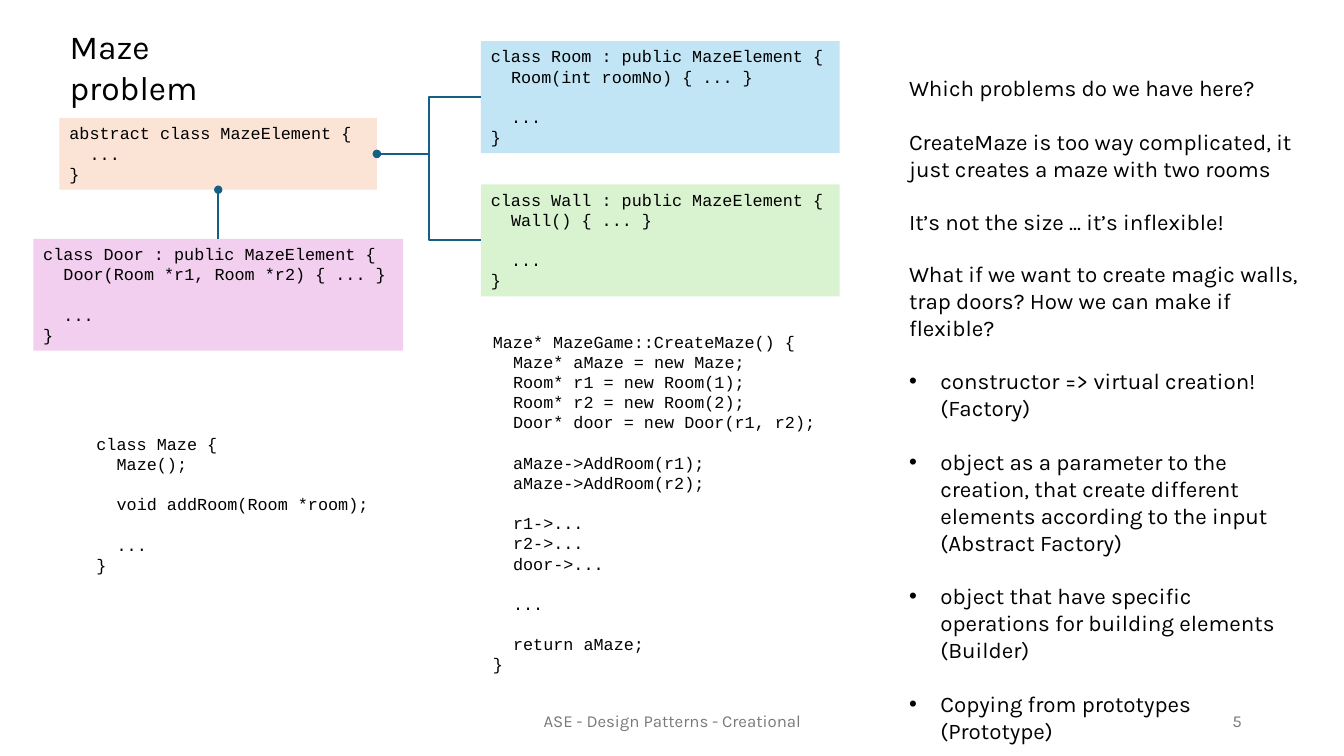
from dataclasses import dataclass

from lxml import etree
from pptx import Presentation
from pptx import util as u
from pptx.dml.color import RGBColor
from pptx.enum import shapes, text
from pptx.oxml import ns


@dataclass(frozen=True)
class Theme:
    body_font: str = "Karla"
    code_font: str = "Courier New"
    ink: str = "000000"
    muted: str = "797979"
    line: str = "156082"
    peach: str = "FBE3D6"
    blue: str = "C1E5F5"
    green: str = "D9F2D0"
    pink: str = "F2CFEE"
    title_size: float = 24
    body_size: float = 16
    small_size: float = 12
    code_gap: float = 14.4
    body_gap: float = 19.2
    code_indent: float = 0.51
    bullet_indent: float = 0.79


def write_text(paragraph, content, *, font, size, color, align=text.PP_ALIGN.LEFT,
               before=0, margin=0, bullet=False):
    paragraph.alignment = align
    paragraph.space_before = u.Pt(before)
    run = paragraph.add_run()
    run.text = content
    run.font.name = font
    run.font.size = u.Pt(size)
    run.font.color.rgb = RGBColor.from_string(color)
    properties = paragraph._p.get_or_add_pPr()
    if margin:
        properties.set("marL", str(u.Cm(margin)))
    if bullet:
        properties.set("indent", str(-u.Cm(margin)))
        etree.SubElement(properties, ns.qn("a:buFont")).set("typeface", "Arial")
        etree.SubElement(properties, ns.qn("a:buChar")).set("char", "•")


class SlideBuilder:
    def __init__(self, slide, theme):
        self.slide = slide
        self.theme = theme

    def prepare(self, shape, anchor=text.MSO_ANCHOR.TOP):
        frame = shape.text_frame
        frame.word_wrap = True
        frame.auto_size = text.MSO_AUTO_SIZE.NONE
        frame.vertical_anchor = anchor
        return frame

    def title(self, content, left, top, width, height):
        shape = self.slide.shapes.title
        shape.left, shape.top = u.Cm(left), u.Cm(top)
        shape.width, shape.height = u.Cm(width), u.Cm(height)
        write_text(self.prepare(shape).paragraphs[0], content, font=self.theme.body_font,
                   size=self.theme.title_size, color=self.theme.ink)

    def text_box(self, left, top, width, height, anchor=text.MSO_ANCHOR.TOP):
        shape = self.slide.shapes.add_textbox(*map(u.Cm, (left, top, width, height)))
        return self.prepare(shape, anchor)

    def footer(self, content, left, width, align):
        frame = self.text_box(left, 17.65, width, 1.02, text.MSO_ANCHOR.MIDDLE)
        write_text(frame.paragraphs[0], content, font=self.theme.body_font,
                   size=self.theme.small_size, color=self.theme.muted, align=align)

    def note(self, content, top, height, bullets=()):
        theme = self.theme
        frame = self.text_box(22.66, top, 10.39, height)
        style = dict(font=theme.body_font, size=theme.body_size, color=theme.ink)
        write_text(frame.paragraphs[0], content, **style)
        for bullet in bullets:
            write_text(frame.add_paragraph(), bullet, before=theme.body_gap,
                       margin=theme.bullet_indent, bullet=True, **style)

    def code(self, source, left, top, width, height, fill=None):
        theme = self.theme
        shape = self.slide.shapes.add_shape(
            shapes.MSO_SHAPE.RECTANGLE, *map(u.Cm, (left, top, width, height)))
        shape.shadow.inherit = False
        shape.line.fill.background()
        if fill:
            shape.fill.solid()
            shape.fill.fore_color.rgb = RGBColor.from_string(fill)
        else:
            shape.fill.background()
        frame = self.prepare(shape)
        paragraph, gap = frame.paragraphs[0], 0
        for line in source.strip().splitlines():
            if not line:
                gap = theme.code_gap
                continue
            paragraph = paragraph or frame.add_paragraph()
            write_text(paragraph, line.strip(), font=theme.code_font,
                       size=theme.small_size, color=theme.ink, before=gap,
                       margin=theme.code_indent if line.startswith(" ") else 0)
            paragraph, gap = None, 0
        return shape

    def inherit(self, child, child_side, parent, parent_side, kind):
        connector = self.slide.shapes.add_connector(kind, 0, 0, 0, 0)
        connector.begin_connect(child, child_side)
        connector.end_connect(parent, parent_side)
        connector.line.color.rgb = RGBColor.from_string(self.theme.line)
        connector.line.width = u.Pt(1.5)
        etree.SubElement(connector.line._get_or_add_ln(), ns.qn("a:tailEnd")).set("type", "oval")
        etree.SubElement(connector._element.spPr, ns.qn("a:effectLst"))


ELEMENT = """
abstract class MazeElement {
  ...
}
"""
ROOM = """
class Room : public MazeElement {
  Room(int roomNo) { ... }

  ...
}
"""
WALL = """
class Wall : public MazeElement {
  Wall() { ... }

  ...
}
"""
DOOR = """
class Door : public MazeElement {
  Door(Room *r1, Room *r2) { ... }

  ...
}
"""
MAZE = """
class Maze {
  Maze();

  void addRoom(Room *room);

  ...
}
"""
CREATE_MAZE = """
Maze* MazeGame::CreateMaze() {
  Maze* aMaze = new Maze;
  Room* r1 = new Room(1);
  Room* r2 = new Room(2);
  Door* door = new Door(r1, r2);

  aMaze->AddRoom(r1);
  aMaze->AddRoom(r2);

  r1->...
  r2->...
  door->...

  ...

  return aMaze;
}
"""
SOLUTIONS = (
    "constructor => virtual creation! (Factory)",
    "object as a parameter to the creation, that create different elements "
    "according to the input (Abstract Factory)",
    "object that have specific operations for building elements (Builder)",
    "Copying from prototypes (Prototype)",
)


def main():
    presentation = Presentation()
    presentation.slide_width, presentation.slide_height = u.Cm(33.87), u.Cm(19.05)
    theme = Theme()
    builder = SlideBuilder(presentation.slides.add_slide(presentation.slide_layouts[5]), theme)

    builder.footer("ASE - Design Patterns - Creational", 11.23, 11.43, text.PP_ALIGN.CENTER)
    builder.footer("5", 23.93, 7.62, text.PP_ALIGN.RIGHT)
    builder.title("Maze problem", 1.5, 0.53, 5.74, 1.27)

    element = builder.code(ELEMENT, 1.5, 2.98, 8, 1.8, theme.peach)
    room = builder.code(ROOM, 12.12, 1.04, 9.04, 2.82, theme.blue)
    wall = builder.code(WALL, 12.12, 4.65, 9.04, 2.82, theme.green)
    builder.code(MAZE, 2.18, 10.8, 7.49, 3.84)
    builder.code(CREATE_MAZE, 12.17, 8.23, 8.79, 8.97)
    door = builder.code(DOOR, 0.84, 6.02, 9.32, 2.82, theme.pink)

    builder.note("Which problems do we have here?", 1.75, 0.94)
    builder.note("CreateMaze is too way complicated, it just creates a maze with two rooms", 3.1, 1.63)
    builder.note("It’s not the size ... it’s inflexible!", 5.11, 0.94)
    builder.note("What if we want to create magic walls, trap doors? How we can make if flexible?",
                 6.43, 11.1, SOLUTIONS)

    for child in (room, wall):
        builder.inherit(child, 1, element, 3, shapes.MSO_CONNECTOR.ELBOW)
    builder.inherit(door, 0, element, 2, shapes.MSO_CONNECTOR.STRAIGHT)
    presentation.save("out.pptx")


if __name__ == "__main__":
    main()
